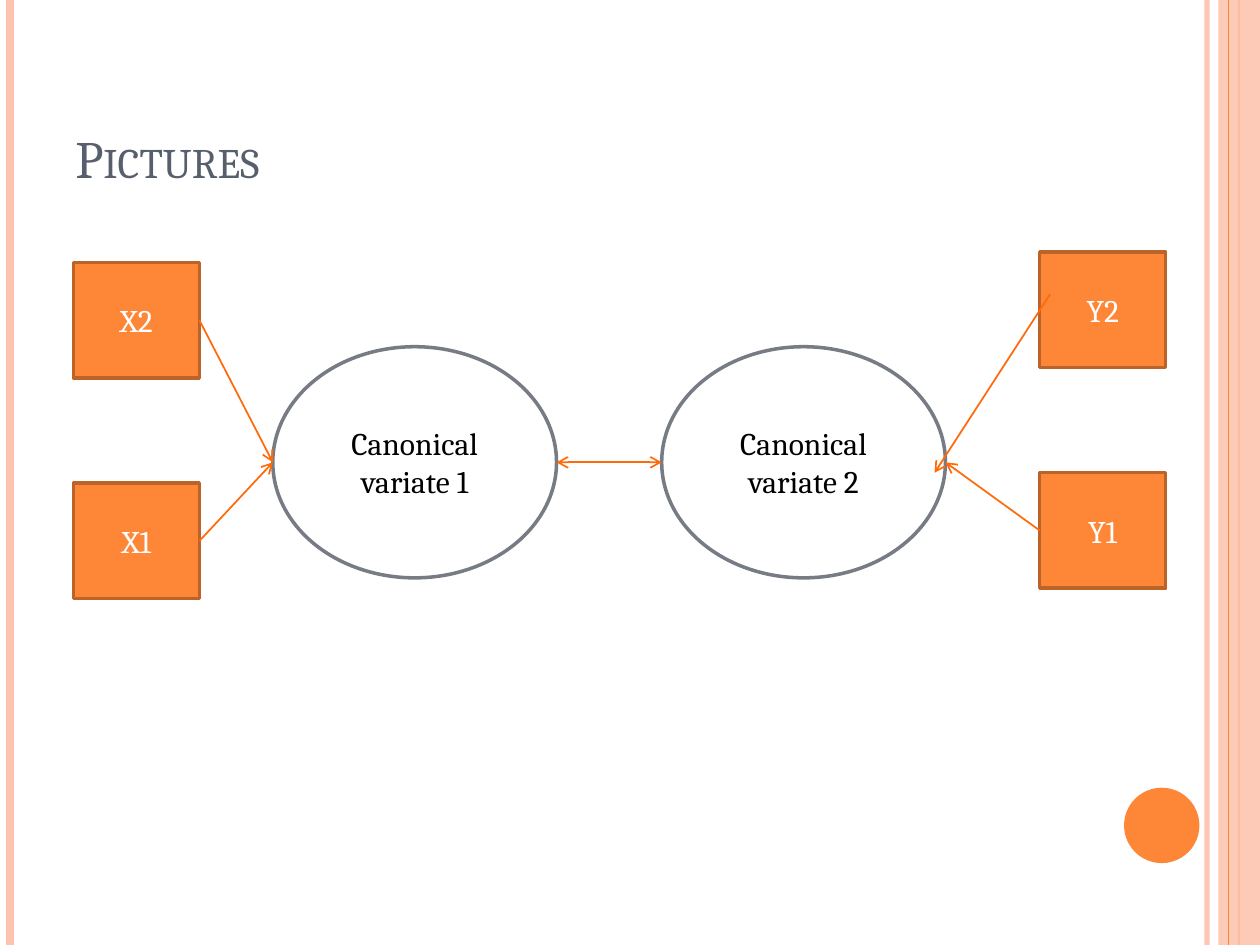
from typing import NamedTuple, Optional

from lxml.etree import SubElement
from pptx import Presentation
from pptx.dml.color import RGBColor
from pptx.enum.shapes import MSO_CONNECTOR, MSO_SHAPE
from pptx.enum.text import MSO_ANCHOR, PP_ALIGN
from pptx.oxml.ns import qn
from pptx.util import Cm, Pt

FONT = "Cambria"
ORANGE, PEACH, ARROW = "FE8637", "FEC3AE", "FF6B0A"
SLIDE_W, SLIDE_H = 25.4, 19.05
BOX_W, BOX_H = 2.54, 2.33
OVAL_W, OVAL_H = 5.72, 4.66
OVAL_TOP = 6.99
OVAL_MID = OVAL_TOP + OVAL_H / 2
OVAL_1, OVAL_2 = 5.5, 13.34
LEFT, RIGHT = 1, 3


class Rule(NamedTuple):
    x: float
    color: str
    width: float
    alpha: Optional[int] = None


class Variable(NamedTuple):
    text: str
    x: float
    y: float
    side: int
    target: Optional[float]  # x of the oval edge its arrow reaches


RULES_BEHIND = [Rule(24.33, PEACH, 3, 93), Rule(0.21, PEACH, 4.5),
                Rule(24.98, ORANGE, 1.5)]
RULE_IN_FRONT = Rule(24.77, ORANGE, 0.75)
VARIABLES = [
    Variable("X2", 1.48, 5.29, RIGHT, OVAL_1),
    Variable("X1", 1.48, 9.74, RIGHT, OVAL_1),
    Variable("Y2", 20.96, 5.08, LEFT, None),
    Variable("Y1", 20.96, 9.53, LEFT, OVAL_2 + OVAL_W),
]


def paint(color_format, color: str, alpha: Optional[int] = None) -> None:
    """Colour a fill or line fill, with opacity in percent."""
    color_format.solid()
    color_format.fore_color.rgb = RGBColor.from_string(color)
    if alpha is not None:
        clr = color_format._xPr.find(qn("a:solidFill"))[0]
        SubElement(clr, qn("a:alpha")).set("val", str(alpha * 1000))


def write(sp, text: str, *, size: float, color: str, align=PP_ALIGN.CENTER,
          anchor=MSO_ANCHOR.MIDDLE, small_caps: bool = False) -> None:
    tf = sp.text_frame
    tf.word_wrap = True
    tf.vertical_anchor = anchor
    p = tf.paragraphs[0]
    p.alignment = align
    r = p.add_run()
    r.text = text
    r.font.name, r.font.size = FONT, Pt(size)
    r.font.color.rgb = RGBColor.from_string(color)
    if small_caps:
        r.font._element.set("cap", "small")


def add_block(s, kind, x: float, y: float, w: float, h: float, fill: str,
              line: Optional[str] = None, alpha: Optional[int] = None):
    sp = s.shapes.add_shape(kind, Cm(x), Cm(y), Cm(w), Cm(h))
    sp.shadow.inherit = False
    paint(sp.fill, fill, alpha)
    if line:
        paint(sp.line.fill, line)
        sp.line.width = Pt(2)
    else:
        sp.line.fill.background()
    return sp


def add_line(s, x1: float, y1: float, x2: float, y2: float, color: str,
             width: float, alpha: Optional[int] = None, ends=()):
    """Draw a straight line; ends lists headEnd and/or tailEnd for arrowheads."""
    c = s.shapes.add_connector(MSO_CONNECTOR.STRAIGHT,
                               Cm(x1), Cm(y1), Cm(x2), Cm(y2))
    paint(c.line.fill, color, alpha)
    c.line.width = Pt(width)
    ln = c.line._get_or_add_ln()
    for end in ends:
        SubElement(ln, qn(f"a:{end}")).set("type", "arrow")
    SubElement(c._element.spPr, qn("a:effectLst"))
    return c


def add_rule(s, rule: Rule) -> None:
    add_line(s, rule.x, 0, rule.x, SLIDE_H, rule.color, rule.width, rule.alpha)


def add_frame(s) -> None:
    for rule in RULES_BEHIND:
        add_rule(s, rule)
    add_block(s, MSO_SHAPE.RECTANGLE, 24.56, 0, SLIDE_W - 24.56, SLIDE_H,
              PEACH, alpha=87)
    add_rule(s, RULE_IN_FRONT)
    add_block(s, MSO_SHAPE.OVAL, 22.66, 15.88, 1.52, 1.52, ORANGE)


def add_variable(s, v: Variable) -> None:
    sp = add_block(s, MSO_SHAPE.RECTANGLE, v.x, v.y, BOX_W, BOX_H,
                   ORANGE, "BC6329")
    write(sp, v.text, size=18, color="FFFFFF")
    if v.target is not None:
        c = add_line(s, v.x, v.y, v.target, OVAL_MID, ARROW, 1,
                     ends=["tailEnd"])
        c.begin_connect(sp, v.side)


def main() -> None:
    prs = Presentation()
    prs.slide_width, prs.slide_height = Cm(SLIDE_W), Cm(SLIDE_H)
    s = prs.slides.add_slide(prs.slide_layouts[6])
    add_frame(s)

    title = s.shapes.add_textbox(Cm(1.27), Cm(0.76), Cm(20.75), Cm(3.18))
    write(title, "Pictures", size=30, color="575F6D", align=PP_ALIGN.LEFT,
          anchor=MSO_ANCHOR.BOTTOM, small_caps=True)

    for number, x in enumerate((OVAL_1, OVAL_2), 1):
        oval = add_block(s, MSO_SHAPE.OVAL, x, OVAL_TOP, OVAL_W, OVAL_H,
                         "FFFFFF", "777C84")
        write(oval, f"Canonical variate {number}", size=18, color="000000")
    add_line(s, OVAL_1 + OVAL_W, OVAL_MID, OVAL_2, OVAL_MID, ARROW, 1,
             ends=["headEnd", "tailEnd"])

    for v in VARIABLES:
        add_variable(s, v)
    # The Y2 arrow starts inside its box and ends inside the oval.
    add_line(s, 21.17, 5.93, 18.84, 9.53, ARROW, 1, ends=["tailEnd"])

    prs.save("out.pptx")


if __name__ == "__main__":
    main()
